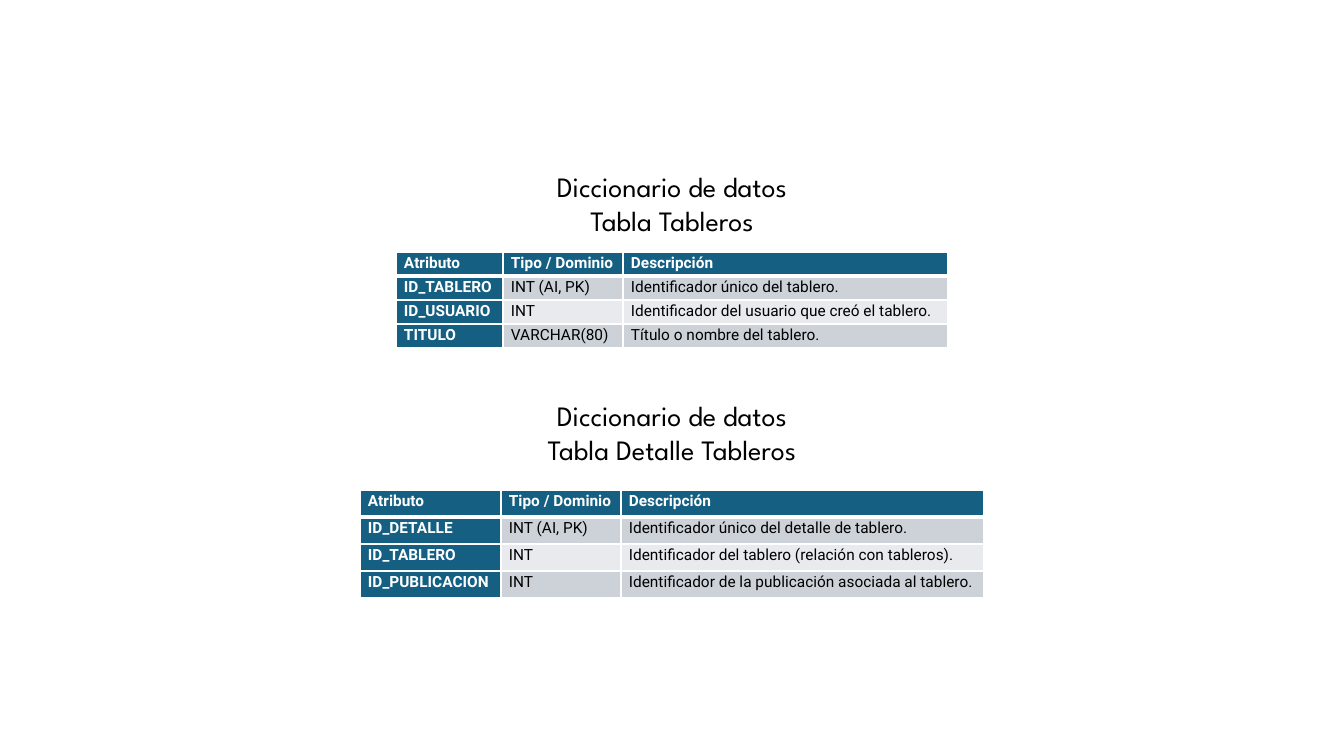
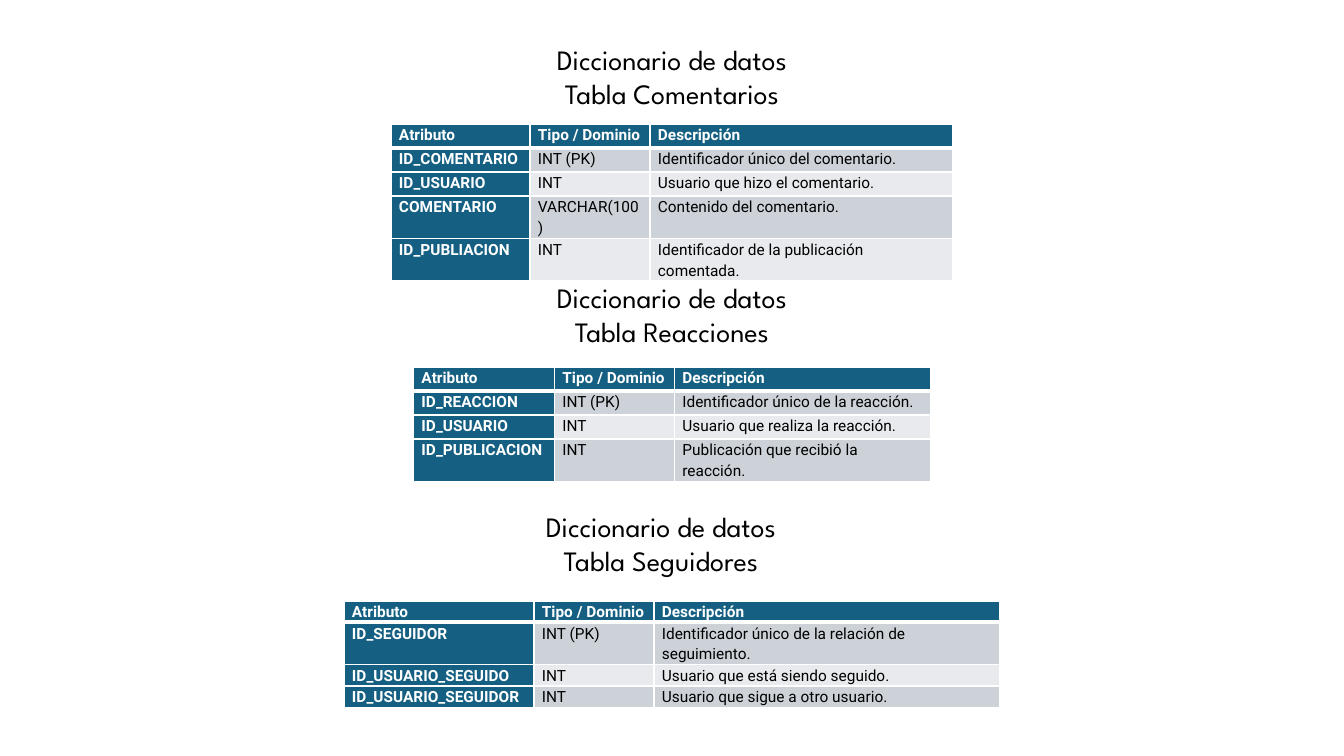
"""Build two slides of data dictionary tables."""
from lxml.etree import SubElement
from pptx import Presentation
from pptx.dml.color import RGBColor
from pptx.enum.text import MSO_AUTO_SIZE as AutoSize, PP_ALIGN as Align
from pptx.oxml.ns import qn
from pptx.util import Pt

PX = 914400 / 100.8
SLIDE_WIDTH, SLIDE_HEIGHT = 1344, 756
TITLE_WIDTH, TITLE_HEIGHT = 366, 78
TYPE_WIDTH = 120
CELL_MARGIN = 8
TITLE_FONT, TABLE_FONT = "League Spartan", "Roboto"
BLUE = RGBColor(0x15, 0x60, 0x82)
DARK_BAND = RGBColor(0xCC, 0xD2, 0xD8)
LIGHT_BAND = RGBColor(0xE8, 0xEA, 0xED)
WHITE = RGBColor(0xFF, 0xFF, 0xFF)
BLACK = RGBColor(0x00, 0x00, 0x00)

HEADING = "Diccionario de datos"
HEADER = ("Atributo", "Tipo / Dominio", "Descripción")
SLIDES = [
    [
        dict(name="Tabla Tableros", title_top=165, title_width=303,
             top=252, row_height=24, widths=(107, 325), rows=[
                 ("ID_TABLERO", "INT (AI, PK)", "Identificador único del tablero."),
                 ("ID_USUARIO", "INT", "Identificador del usuario que creó el tablero."),
                 ("TITULO", "VARCHAR(80)", "Título o nombre del tablero."),
             ]),
        dict(name="Tabla Detalle Tableros", title_top=394,
             top=490, row_height=27, widths=(141, 363), rows=[
                 ("ID_DETALLE", "INT (AI, PK)", "Identificador único del detalle de tablero."),
                 ("ID_TABLERO", "INT", "Identificador del tablero (relación con tableros)."),
                 ("ID_PUBLICACION", "INT", "Identificador de la publicación asociada al tablero."),
             ]),
    ],
    [
        dict(name="Tabla Comentarios", title_top=38,
             top=124, row_height=24, widths=(139, 303), rows=[
                 ("ID_COMENTARIO", "INT (PK)", "Identificador único del comentario."),
                 ("ID_USUARIO", "INT", "Usuario que hizo el comentario."),
                 ("COMENTARIO", "VARCHAR(100)", "Contenido del comentario."),
                 ("ID_PUBLIACION", "INT", "Identificador de la publicación comentada."),
             ]),
        dict(name="Tabla Reacciones", title_top=276,
             top=367, row_height=24, widths=(141, 256), rows=[
                 ("ID_REACCION", "INT (PK)", "Identificador único de la reacción."),
                 ("ID_USUARIO", "INT", "Usuario que realiza la reacción."),
                 ("ID_PUBLICACION", "INT", "Publicación que recibió la reacción."),
             ]),
        dict(name="Tabla Seguidores", title_top=505, title_shift=-11,
             top=601, row_height=20, widths=(190, 346), rows=[
                 ("ID_SEGUIDOR", "INT (PK)", "Identificador único de la relación de seguimiento."),
                 ("ID_USUARIO_SEGUIDO", "INT", "Usuario que está siendo seguido."),
                 ("ID_USUARIO_SEGUIDOR", "INT", "Usuario que sigue a otro usuario."),
             ]),
    ],
]


def px(length):
    """Turn pixels into EMU."""
    return round(length * PX)


def write(paragraph, text, *, font, size, color=BLACK, bold=False,
          align=Align.LEFT, line_spacing=None, space_after=None):
    """Put formatted text into a paragraph."""
    paragraph.alignment = align
    paragraph.line_spacing = line_spacing
    paragraph.space_after = space_after
    run = paragraph.add_run()
    run.text = text
    run.font.name = font
    run.font.size = Pt(size)
    run.font.bold = bold
    run.font.color.rgb = color


def add_borders(cell, top, bottom):
    """Draw white borders, with top and bottom widths in points."""
    properties = cell._tc.get_or_add_tcPr()
    for side, width in (("L", 1), ("R", 1), ("T", top), ("B", bottom)):
        line = SubElement(properties, qn(f"a:ln{side}"), w=str(Pt(width)))
        fill = SubElement(line, qn("a:solidFill"))
        SubElement(fill, qn("a:srgbClr"), val=str(WHITE))


def add_title(slide, name, top, width, shift):
    """Add the two-line centred title of a table."""
    left = (SLIDE_WIDTH - width) / 2 + shift
    box = slide.shapes.add_textbox(px(left), px(top), px(width), px(TITLE_HEIGHT))
    frame = box.text_frame
    frame.word_wrap = True
    frame.auto_size = AutoSize.SHAPE_TO_FIT_TEXT
    for paragraph, text in ((frame.paragraphs[0], HEADING), (frame.add_paragraph(), name)):
        write(paragraph, text, font=TITLE_FONT, size=20, align=Align.CENTER)


def fill_cell(cell, text, row, column):
    """Fill one cell according to its place in the table."""
    heading = row == 0 or column == 0
    cell.margin_left = cell.margin_right = px(CELL_MARGIN)
    cell.margin_top = cell.margin_bottom = 0
    add_borders(cell, top=3 if row == 1 else 1, bottom=3 if row == 0 else 1)
    cell.fill.solid()
    cell.fill.fore_color.rgb = BLUE if heading else DARK_BAND if row % 2 else LIGHT_BAND
    write(cell.text_frame.paragraphs[0], text, font=TABLE_FONT, size=11,
          color=WHITE if heading else BLACK, bold=heading,
          line_spacing=1.15, space_after=Pt(10))


def add_dictionary(slide, name, title_top, top, row_height, widths, rows,
                   title_width=TITLE_WIDTH, title_shift=0):
    """Add a title and its table, centred on the slide."""
    add_title(slide, name, title_top, title_width, title_shift)
    lines = [HEADER, *rows]
    columns = (widths[0], TYPE_WIDTH, widths[1])
    width = sum(columns)
    table = slide.shapes.add_table(
        len(lines), len(columns), px((SLIDE_WIDTH - width) / 2), px(top),
        px(width), px(row_height * len(lines))).table
    for column, column_width in zip(table.columns, columns):
        column.width = px(column_width)
    for row, line in enumerate(lines):
        table.rows[row].height = px(row_height)
        for column, text in enumerate(line):
            fill_cell(table.cell(row, column), text, row, column)


def main():
    """Build and save the presentation."""
    presentation = Presentation()
    presentation.slide_width = px(SLIDE_WIDTH)
    presentation.slide_height = px(SLIDE_HEIGHT)
    for dictionaries in SLIDES:
        slide = presentation.slides.add_slide(presentation.slide_layouts[6])
        for dictionary in dictionaries:
            add_dictionary(slide, **dictionary)
    presentation.save("out.pptx")


if __name__ == "__main__":
    main()
